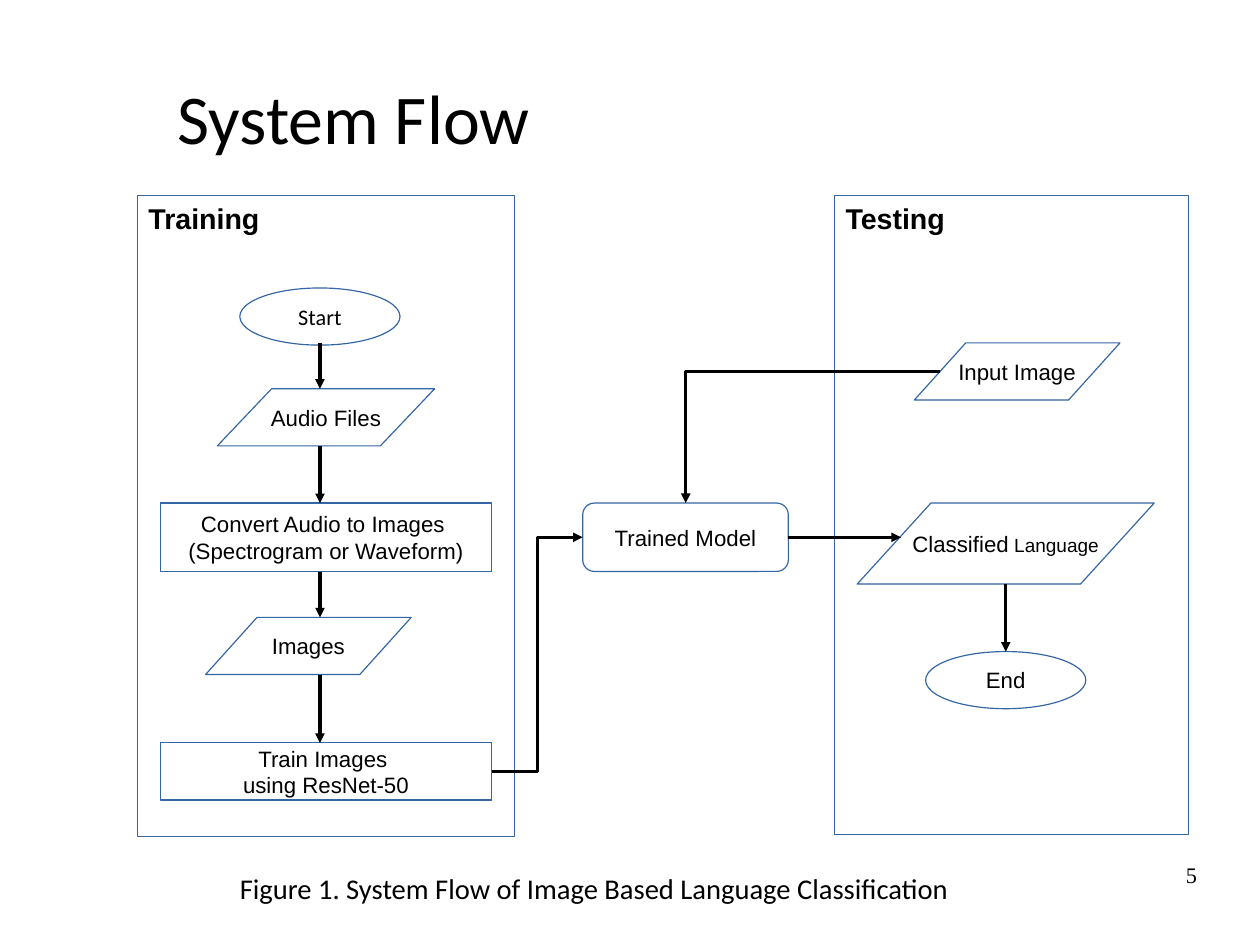
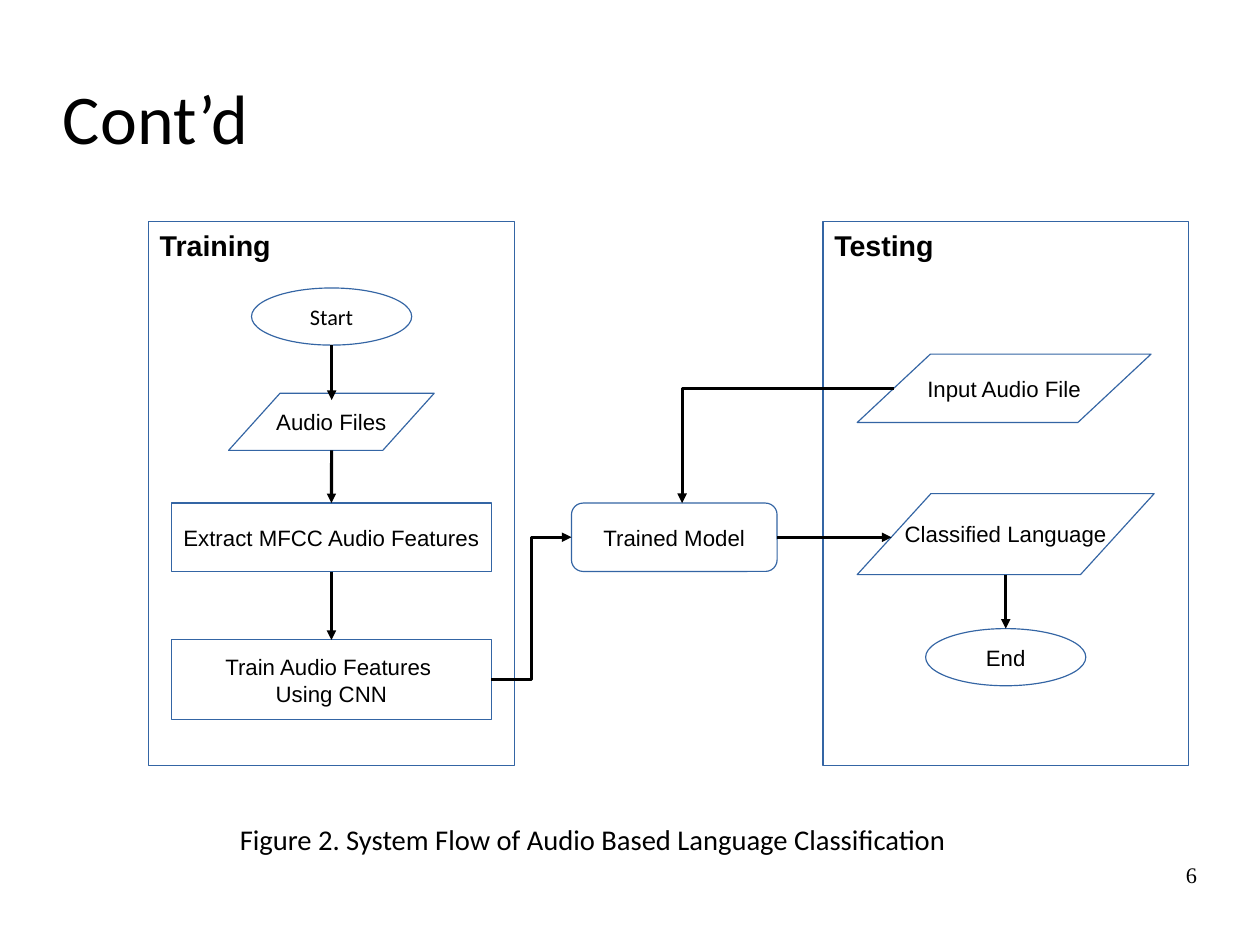
from lxml import etree
from pptx import Presentation
from pptx.dml.color import RGBColor
from pptx.enum import shapes, text
from pptx.oxml.ns import qn
from pptx.util import Cm, Pt

COLORS = {"ink": "000000", "paper": "FFFFFF", "outline": "3465A4"}
KINDS = shapes.MSO_SHAPE
ALIGN = text.PP_ALIGN
LINES = shapes.MSO_CONNECTOR
SNAP = Cm(0.03)
OVAL = (3.56, 1.27)

PAGES = [
    {
        "title": "System Flow", "title_indent": 2.54, "number": "5",
        "caption": ("Figure 1. System Flow of Image Based Language Classification", 19.23),
        "frames": [("Training", 3.05, 4.34, 8.38, 14.25), ("Testing", 18.54, 4.34, 7.87, 14.2)],
        "steps": [
            ("Start", KINDS.OVAL, 5.33, 6.4, *OVAL, None),
            ("Audio Files", KINDS.PARALLELOGRAM, 4.83, 8.64, 4.83, 1.27, 0.95),
            ("Convert Audio to Images \n(Spectrogram or Waveform)", KINDS.RECTANGLE, 3.56, 11.18, 7.37, 1.52, None),
            ("Images", KINDS.PARALLELOGRAM, 4.57, 13.72, 4.57, 1.27, 0.9),
            ("Train Images \nusing ResNet-50", KINDS.RECTANGLE, 3.56, 16.51, 7.37, 1.27, None),
            ("Trained Model", KINDS.ROUNDED_RECTANGLE, 12.95, 11.18, 4.57, 1.52, 0.17),
            ("Input Image", KINDS.PARALLELOGRAM, 20.32, 7.62, 4.57, 1.27, 0.9),
            ("Classified| Language", KINDS.PARALLELOGRAM, 19.05, 11.18, 6.6, 1.8, 0.91),
            ("End", KINDS.OVAL, 20.57, 14.48, *OVAL, None),
        ],
        "arrows": [
            ("straight", 7.11, 7.62, 7.11, 8.64),
            ("straight", 7.11, 9.91, 7.11, 11.18),
            ("straight", 7.11, 12.7, 7.11, 13.72),
            ("straight", 7.11, 14.99, 7.11, 16.51),
            ("elbow", 10.92, 17.15, 12.95, 11.94),
            ("corner", 20.88, 8.26, 15.24, 11.18),
            ("straight", 17.52, 11.94, 20.02, 11.94),
            ("straight", 22.35, 12.98, 22.35, 14.48),
        ],
    },
    {
        "title": "Cont’d", "title_indent": 0, "number": "6",
        "caption": ("Figure 2. System Flow of Audio Based Language Classification", 18.14),
        "frames": [("Training", 3.3, 4.93, 8.13, 12.09), ("Testing", 18.29, 4.93, 8.13, 12.09)],
        "steps": [
            ("Start", KINDS.OVAL, 5.59, 6.4, *OVAL, None),
            ("Audio Files", KINDS.PARALLELOGRAM, 5.08, 8.74, 4.57, 1.27, 0.9),
            ("Extract MFCC Audio Features", KINDS.RECTANGLE, 3.81, 11.18, 7.11, 1.52, None),
            ("Train Audio Features \nUsing CNN", KINDS.RECTANGLE, 3.81, 14.22, 7.11, 1.78, None),
            ("Trained Model", KINDS.ROUNDED_RECTANGLE, 12.7, 11.18, 4.57, 1.52, 0.17),
            ("Input Audio File", KINDS.PARALLELOGRAM, 19.05, 7.87, 6.53, 1.52, 1.07),
            ("Classified Language", KINDS.PARALLELOGRAM, 19.05, 10.97, 6.6, 1.8, 0.91),
            ("End", KINDS.OVAL, 20.57, 13.97, *OVAL, None),
        ],
        "arrows": [
            ("straight", 7.37, 7.67, 7.37, 8.89),
            ("straight", 7.37, 10.01, 7.37, 11.18),
            ("straight", 7.37, 12.7, 7.37, 14.22),
            ("elbow", 10.92, 15.11, 12.7, 11.94),
            ("corner", 19.86, 8.64, 15.16, 11.18),
            ("straight", 17.27, 11.94, 19.81, 11.94),
            ("straight", 22.35, 12.77, 22.35, 13.97),
        ],
    },
]


def style(para, size, font="Arial", align=ALIGN.LEFT, bold=False):
    para.alignment = align
    para.font.size = Pt(size)
    para.font.name = font
    para.font.bold = bold
    para.font.color.rgb = RGBColor.from_string(COLORS["ink"])


def add_box(page, kind, left, top, width, height):
    box = page.shapes.add_shape(kind, Cm(left), Cm(top), Cm(width), Cm(height))
    box.shadow.inherit = False
    box.fill.solid()
    box.fill.fore_color.rgb = RGBColor.from_string(COLORS["paper"])
    box.line.color.rgb = RGBColor.from_string(COLORS["outline"])
    box.line.width = 0
    return box


deck = Presentation()
deck.slide_width, deck.slide_height = Cm(28), Cm(21)

for content in PAGES:
    page = deck.slides.add_slide(deck.slide_layouts[5])

    title = page.shapes.title
    title.left, title.top, title.width, title.height = Cm(1.4), Cm(0.84), Cm(25.2), Cm(3.5)
    frame = title.text_frame
    frame.text = content["title"]
    frame.auto_size = text.MSO_AUTO_SIZE.NONE
    frame.vertical_anchor = text.MSO_ANCHOR.MIDDLE
    frame.margin_left = Cm(content["title_indent"])
    frame.margin_top = frame.margin_right = frame.margin_bottom = 0
    style(frame.paragraphs[0], 44, "Calibri")

    caption, caption_top = content["caption"]
    labels = [(caption, 5.08, caption_top, 19.05, 1.12, 18, "Calibri", ALIGN.LEFT, False),
              (content["number"], 20.07, 19.13, 6.53, 1.45, 14, "Times New Roman", ALIGN.RIGHT, False)]
    for heading, left, top, width, height in content["frames"]:
        add_box(page, KINDS.RECTANGLE, left, top, width, height)
        labels.append((heading, left, top, 3.81, 0.97, 18, "Arial", ALIGN.LEFT, True))

    sides = []
    for label, kind, left, top, width, height, adjustment in content["steps"]:
        box = add_box(page, kind, left, top, width, height)
        if adjustment is not None:
            box.adjustments[0] = adjustment
        frame = box.text_frame
        frame.word_wrap = False
        frame.vertical_anchor = text.MSO_ANCHOR.MIDDLE
        for index, line in enumerate(label.split("\n")):
            para = frame.add_paragraph() if index else frame.paragraphs[0]
            style(para, 14, "Calibri" if label == "Start" else "Arial", ALIGN.CENTER)
            main, *small = line.split("|")
            para.add_run().text = main
            for part in small:
                span = para.add_run()
                span.text = part
                span.font.size = Pt(12)
        if kind in (KINDS.RECTANGLE, KINDS.ROUNDED_RECTANGLE):
            middle, center = box.left + box.width // 2, box.top + box.height // 2
            sides += [(box, 0, middle, box.top), (box, 1, box.left, center),
                      (box, 2, middle, box.top + box.height), (box, 3, box.left + box.width, center)]

    for route, *ends in content["arrows"]:
        x1, y1, x2, y2 = [Cm(value) for value in ends]
        arrow = page.shapes.add_connector(LINES.STRAIGHT if route == "straight" else LINES.ELBOW, x1, y1, x2, y2)
        if route == "corner":
            arrow._element.spPr.find(qn("a:prstGeom")).set("prst", "bentConnector2")
        else:
            for join, x, y in ((arrow.begin_connect, x1, y1), (arrow.end_connect, x2, y2)):
                for box, side, side_x, side_y in sides:
                    if abs(x - side_x) <= SNAP and abs(y - side_y) <= SNAP:
                        join(box, side)
        arrow.line.color.rgb = RGBColor.from_string(COLORS["ink"])
        arrow.line.width = 0
        etree.SubElement(arrow.line._get_or_add_ln(), qn("a:tailEnd"), type="triangle")
        etree.SubElement(arrow._element.spPr, qn("a:effectLst"))

    for label, left, top, width, height, size, font, align, bold in labels:
        box = page.shapes.add_textbox(Cm(left), Cm(top), Cm(width), Cm(height))
        frame = box.text_frame
        frame.word_wrap = True
        frame.text = label
        if align == ALIGN.RIGHT:
            frame.margin_left = frame.margin_top = frame.margin_right = frame.margin_bottom = 0
        style(frame.paragraphs[0], size, font, align, bold)

deck.save("out.pptx")
